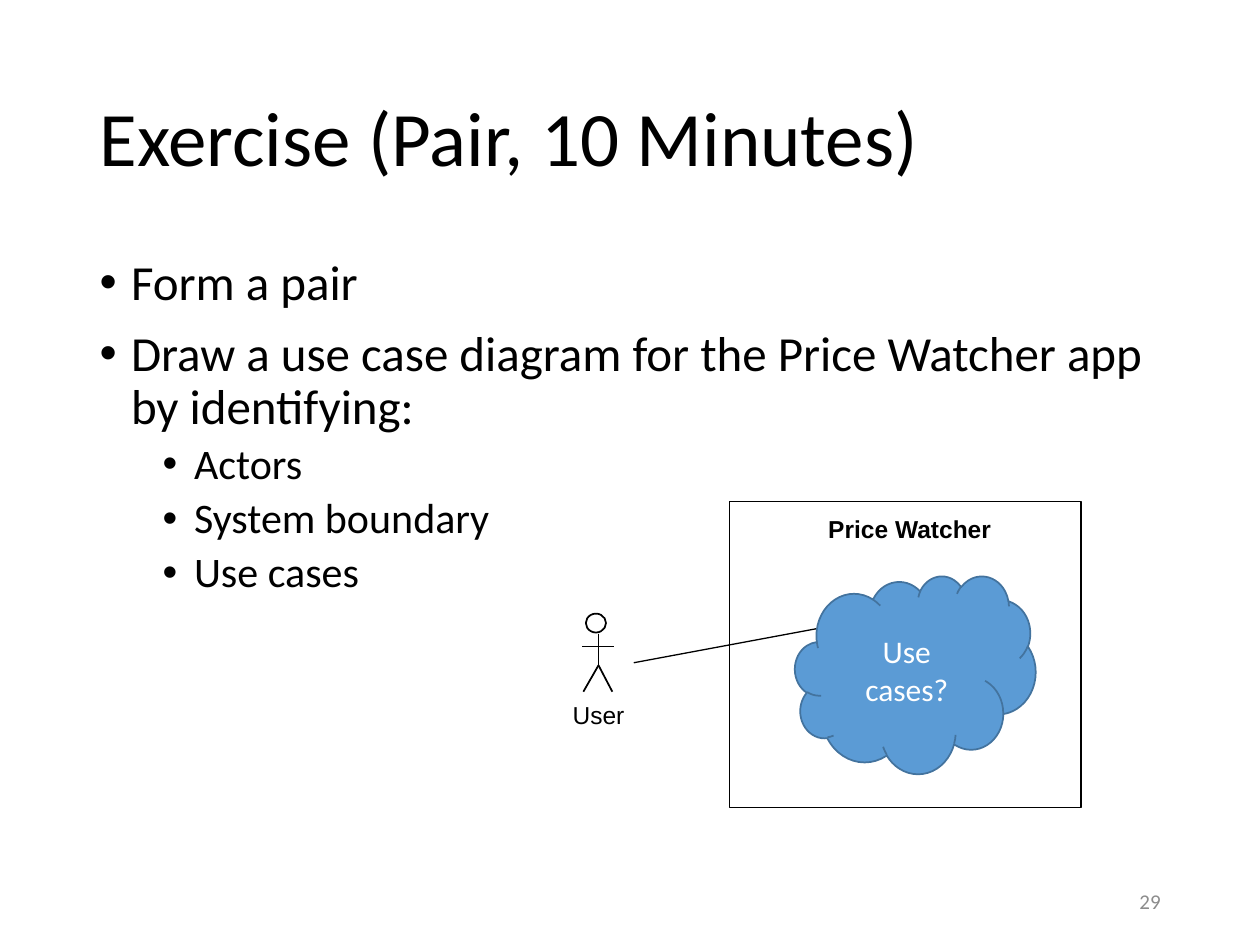
from dataclasses import dataclass
from pptx import Presentation
from pptx.dml.color import RGBColor as Color
from pptx.enum.shapes import MSO_CONNECTOR as Connector, MSO_SHAPE as Shape
from pptx.enum.text import MSO_ANCHOR as Anchor, MSO_AUTO_SIZE as AutoSize, PP_ALIGN as Align
from pptx.oxml.ns import qn
from pptx.util import Inches, Pt
from lxml.etree import SubElement


@dataclass(frozen=True)
class Theme:
    ink: str = "000000"
    paper: str = "FFFFFF"
    muted: str = "8C8C8C"
    cloud: str = "5B9BD5"
    cloud_edge: str = "43739E"
    font: str = "Calibri"
    label_font: str = "Arial"
    title: int = 44
    levels: tuple = (28, 24)
    cloud_text: int = 18
    label: int = 14
    number: int = 12


theme = Theme()


@dataclass(frozen=True)
class Box:
    left: float
    top: float
    width: float
    height: float

    def inner(self, left, top, width, height):
        return Box(self.left + left, self.top + top, width, height)

    def point(self, x, y):
        return self.left + x, self.top + y

    def lengths(self):
        return [Inches(v) for v in (self.left, self.top, self.width, self.height)]


def place(shape, box):
    shape.left, shape.top, shape.width, shape.height = box.lengths()


def write(para, text, size, color=theme.ink, font=theme.font, bold=False,
          align=Align.LEFT, line_spacing=None, before=None):
    para.alignment = align
    if line_spacing:
        para.line_spacing = line_spacing
    if before is not None:
        para.space_before = Pt(before)
    span = para.add_run()
    span.text = text
    span.font.size, span.font.name, span.font.bold = Pt(size), font, bold
    span.font.color.rgb = Color.from_string(color)


def set_bullet(para, margin, hanging):
    props = para._p.get_or_add_pPr()
    props.set("marL", str(Inches(margin)))
    props.set("indent", str(-Inches(hanging)))
    SubElement(props, qn("a:buFont")).set("typeface", "Arial")
    SubElement(props, qn("a:buChar")).set("char", "•")


def add_text(parent, box, text, size, wrap=False, anchor=Anchor.TOP, **style):
    shape = parent.add_textbox(*box.lengths())
    frame = shape.text_frame
    frame.word_wrap, frame.vertical_anchor = wrap, anchor
    write(frame.paragraphs[0], text, size, **style)


def add_outline(parent, kind, box, width, fill=None, line=theme.ink):
    shape = parent.add_shape(kind, *box.lengths())
    shape.shadow.inherit = False
    if fill:
        shape.fill.solid()
        shape.fill.fore_color.rgb = Color.from_string(fill)
    else:
        shape.fill.background()
    shape.line.color.rgb = Color.from_string(line)
    shape.line.width = Pt(width)
    return shape


def add_line(parent, start, end, width):
    line = parent.add_connector(Connector.STRAIGHT, *[Inches(v) for v in (*start, *end)])
    line.line.color.rgb = Color.from_string(theme.ink)
    line.line.width = Pt(width)
    SubElement(line._element.spPr, qn("a:effectLst"))


def fill_title(shape, box, text):
    place(shape, box)
    frame = shape.text_frame
    frame.auto_size, frame.vertical_anchor = AutoSize.NONE, Anchor.MIDDLE
    write(frame.paragraphs[0], text, theme.title, line_spacing=0.9)


def fill_body(shape, box, items):
    place(shape, box)
    frame = shape.text_frame
    frame.auto_size = AutoSize.NONE
    for index, (level, text) in enumerate(items):
        para = frame.add_paragraph() if index else frame.paragraphs[0]
        para.level = level
        write(para, text, theme.levels[level], line_spacing=0.9, before=(10, 5)[level])
        set_bullet(para, 0.25 + 0.5 * level, 0.25)


def add_actor(page, box, name):
    parts = page.shapes.add_group_shape().shapes
    # Head
    add_outline(parts, Shape.OVAL, box.inner(0.21, 0, 0.16, 0.15), 1)
    # Trunk, arms and legs
    neck, hip = (0.31, 0.16), (0.31, 0.41)
    limbs = [(neck, hip), ((0.18, 0.26), (0.43, 0.26)),
             (hip, (0.19, 0.62)), (hip, (0.42, 0.62))]
    for start, end in limbs:
        add_line(parts, box.point(*start), box.point(*end), 1)
    add_text(parts, box.inner(0, 0.64, box.width, 0.34), name, theme.label,
             font=theme.label_font, align=Align.CENTER)


def add_system(page, box, name, question):
    # Boundary and name
    add_outline(page.shapes, Shape.RECTANGLE, box, 0.75)
    add_text(page.shapes, box.inner(0.68, 0.05, 1.5, 0.34), name, theme.label,
             font=theme.label_font, bold=True, align=Align.CENTER)
    # Link from the actor, ending behind the cloud
    add_line(page.shapes, box.point(-0.76, 1.28), box.point(0.69, 1.01), 0.75)
    # Cloud
    cloud = add_outline(page.shapes, Shape.CLOUD, box.inner(0.52, 0.59, 1.91, 1.57), 1,
                        fill=theme.cloud, line=theme.cloud_edge)
    frame = cloud.text_frame
    frame.word_wrap, frame.vertical_anchor = True, Anchor.MIDDLE
    write(frame.paragraphs[0], question, theme.cloud_text, color=theme.paper,
          align=Align.CENTER)


def build_exercise(deck):
    page = deck.slides.add_slide(deck.slide_layouts[1])
    fill_title(page.shapes.title, Box(0.69, 0.4, 8.62, 1.45), "Exercise (Pair, 10 Minutes)")
    fill_body(page.placeholders[1], Box(0.69, 2, 8.62, 4.76), [
        (0, "Form a pair"),
        (0, "Draw a use case diagram for the Price Watcher app by identifying:"),
        (1, "Actors"),
        (1, "System boundary"),
        (1, "Use cases"),
    ])
    # Page number
    add_text(page.shapes, Box(7.06, 6.95, 2.25, 0.4), "29", theme.number, wrap=True,
             anchor=Anchor.MIDDLE, color=theme.muted, align=Align.RIGHT)
    # Use case diagram
    add_actor(page, Box(4.44, 4.87, 0.62, 0.98), "User")
    add_system(page, Box(5.79, 3.98, 2.79, 2.43), "Price Watcher", "Use cases?")


deck = Presentation()
deck.slide_width, deck.slide_height = Inches(10), Inches(7.5)
build_exercise(deck)
deck.save("out.pptx")
